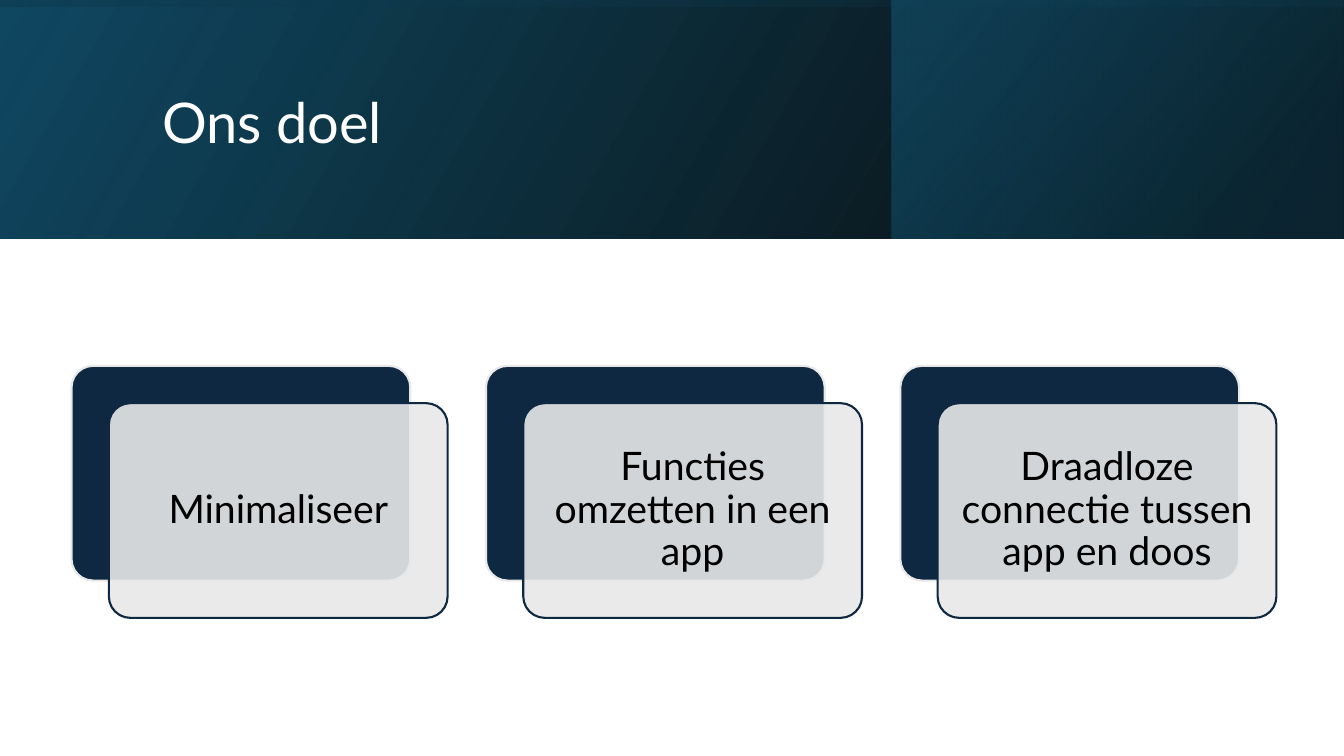
from pptx import Presentation
from pptx.dml.color import RGBColor
from pptx.enum.shapes import MSO_SHAPE
from pptx.enum.text import MSO_ANCHOR, PP_ALIGN
from pptx.oxml import parse_xml
from pptx.oxml.ns import nsdecls, qn
from pptx.util import Inches, Pt

NAVY = RGBColor(0x0E, 0x28, 0x41)
DEEP_BLUE = RGBColor(0x0B, 0x30, 0x41)
TEAL = RGBColor(0x10, 0x48, 0x62)
BRIGHT_TEAL = RGBColor(0x15, 0x60, 0x82)
LIGHT_GRAY = RGBColor(0xE8, 0xE8, 0xE8)
BLACK = RGBColor(0, 0, 0)
WHITE = RGBColor(0xFF, 0xFF, 0xFF)


class SlideBuilder:
    font_name = "Lato"

    def __init__(self, page):
        self.page = page

    def add_box(self, kind, left, top, width, height):
        box = self.page.shapes.add_shape(
            kind, Inches(left), Inches(top), Inches(width), Inches(height))
        box.shadow.inherit = False
        return box

    def gradient_band(self, left, top, width, height, stops, angle, rotation=0):
        """Stops are (position %, colour, opacity %); the angle runs clockwise."""
        band = self.add_box(MSO_SHAPE.RECTANGLE, left, top, width, height)
        band.rotation = rotation
        band.line.fill.background()
        properties = band.element.spPr
        properties.find(qn("a:xfrm")).set("flipH", "1")
        stop_xml = "".join(
            f'<a:gs pos="{position * 1000}"><a:srgbClr val="{color}">'
            f'<a:alpha val="{opacity * 1000}"/></a:srgbClr></a:gs>'
            for position, color, opacity in stops)
        properties.find(qn("a:prstGeom")).addnext(parse_xml(
            f'<a:gradFill {nsdecls("a")} rotWithShape="1"><a:gsLst>{stop_xml}</a:gsLst>'
            f'<a:lin ang="{angle * 60000}" scaled="0"/></a:gradFill>'))

    def rounded_panel(self, left, top, width, height, fill, line, opacity=100):
        panel = self.add_box(MSO_SHAPE.ROUNDED_RECTANGLE, left, top, width, height)
        panel.adjustments[0] = 0.1
        panel.fill.solid()
        panel.fill.fore_color.rgb = fill
        panel.line.color.rgb = line
        panel.line.width = Pt(1.5)
        if opacity < 100:
            color = panel.element.spPr.find(qn("a:solidFill"))[0]
            color.append(parse_xml(
                f'<a:alpha {nsdecls("a")} val="{opacity * 1000}"/>'))

    def text(self, words, left, top, width, height, size, color,
             align=PP_ALIGN.LEFT, inset=None):
        box = self.page.shapes.add_textbox(
            Inches(left), Inches(top), Inches(width), Inches(height))
        frame = box.text_frame
        frame.word_wrap = True
        frame.vertical_anchor = MSO_ANCHOR.MIDDLE
        if inset is not None:
            frame.margin_left = frame.margin_right = Inches(inset)
            frame.margin_top = frame.margin_bottom = Inches(inset)
        frame.text = words
        para = frame.paragraphs[0]
        para.alignment = align
        para.line_spacing = 0.9
        span = para.runs[0]
        span.font.name = self.font_name
        span.font.size = Pt(size)
        span.font.color.rgb = color

    def card(self, words, left, top):
        width, height, offset, padding = 3.36, 2.13, 0.37, 0.06
        front_left, front_top = left + offset, top + offset
        self.rounded_panel(left, top, width, height, NAVY, LIGHT_GRAY)
        self.rounded_panel(front_left, front_top, width, height,
                           LIGHT_GRAY, NAVY, opacity=90)
        self.text(words, front_left + padding, front_top + padding,
                  width - 2 * padding, height - 2 * padding, 28, BLACK,
                  PP_ALIGN.CENTER, inset=0.12)


def main():
    deck = Presentation()
    deck.slide_width, deck.slide_height = Inches(13.33), Inches(7.5)
    builder = SlideBuilder(deck.slides.add_slide(deck.slide_layouts[6]))

    # Header: three layered gradients, the last one turned on its side
    builder.gradient_band(0, 0, 13.33, 2.37,
                          [(0, BLACK, 96), (100, TEAL, 100)], 330)
    builder.gradient_band(8.84, 0, 4.48, 2.37,
                          [(19, DEEP_BLUE, 68), (100, BRIGHT_TEAL, 48)], 320)
    builder.gradient_band(5.48, -5.48, 2.37, 13.33,
                          [(23, TEAL, 16), (99, BLACK, 45)], 350, rotation=270)
    builder.text("Ons doel", 1.51, 0.38, 10.63, 1.72, 40, WHITE)

    # Goal cards
    goals = ["Minimaliseer", "Functies omzetten in een app",
             "Draadloze connectie tussen app en doos"]
    for index, goal in enumerate(goals):
        builder.card(goal, 0.71 + index * 4.11, 3.63)

    deck.save("out.pptx")


if __name__ == "__main__":
    main()
